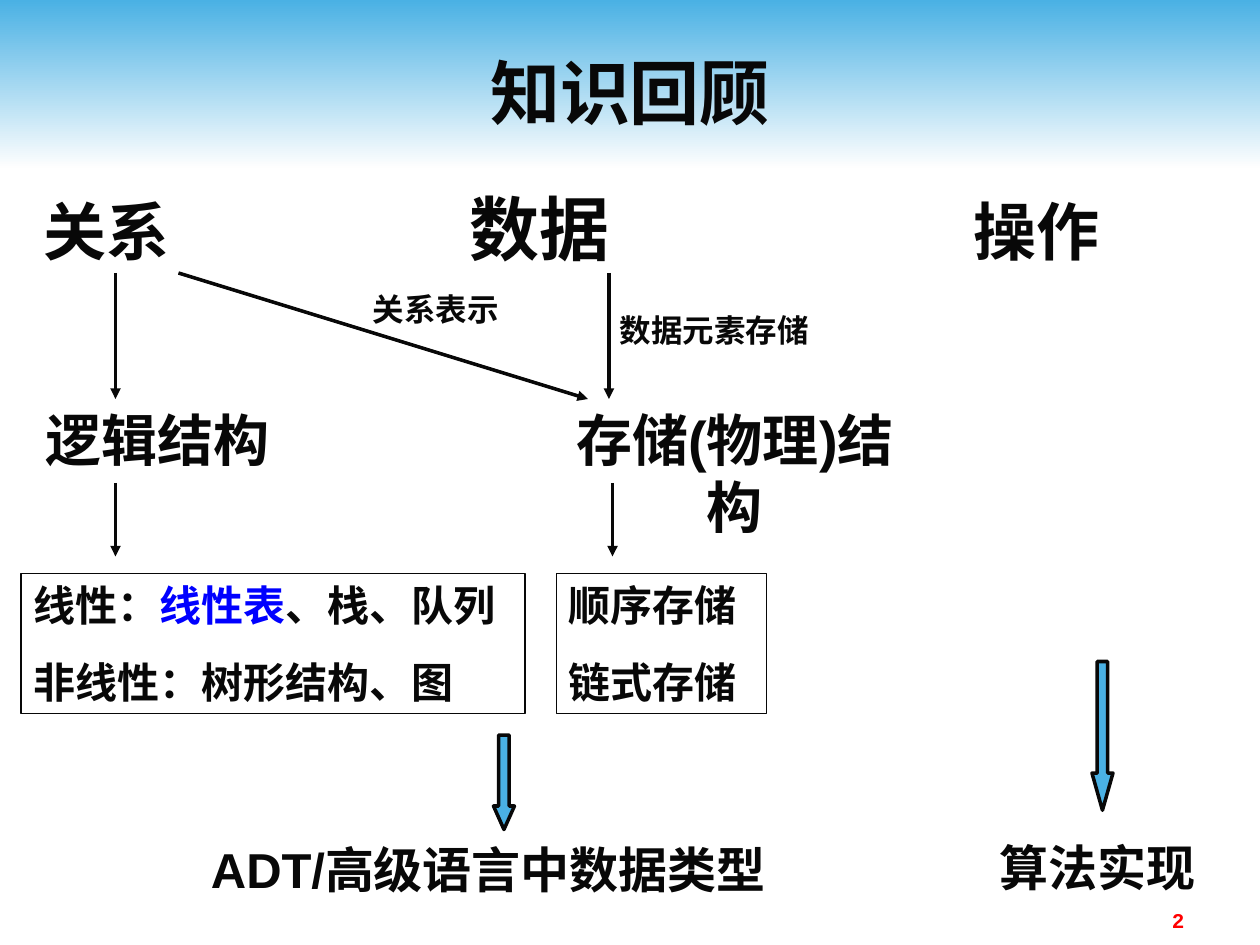
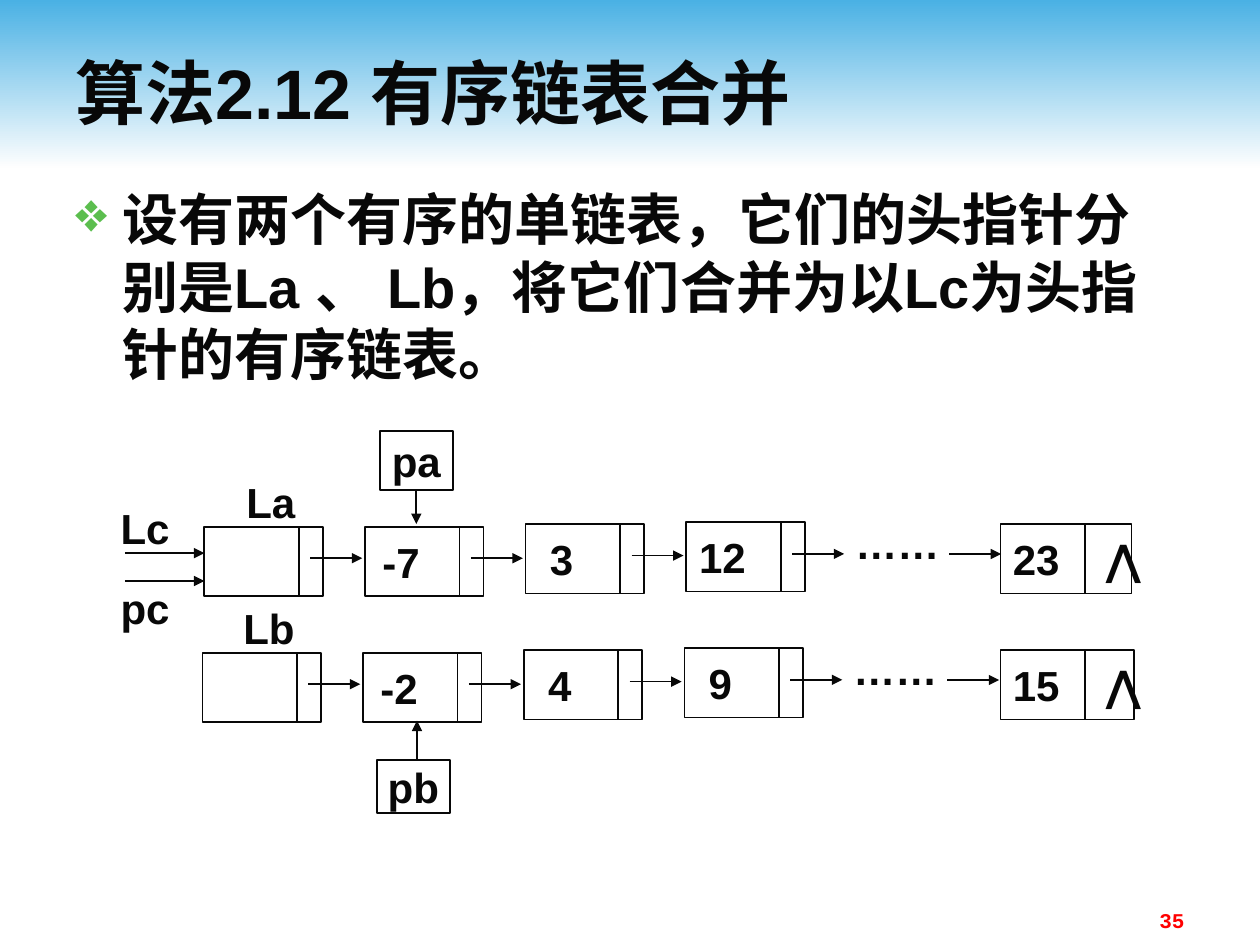
"""Build two lecture slides: a knowledge review and the merging of ordered linked lists."""
from dataclasses import dataclass

from lxml import etree
from pptx import Presentation
from pptx.dml.color import RGBColor
from pptx.enum.lang import MSO_LANGUAGE_ID as Language
from pptx.enum.shapes import MSO_CONNECTOR as Connector, MSO_SHAPE as Preset
from pptx.enum.text import MSO_ANCHOR as Anchor, MSO_AUTO_SIZE as AutoSize, PP_ALIGN as Align
from pptx.oxml.ns import qn
from pptx.util import Pt


@dataclass(frozen=True)
class Theme:
    """Colours, fonts and type sizes of the deck."""
    ink: str = "080808"
    sky: str = "4AB1E4"
    haze: str = "FEFEFE"
    leaf: str = "5BBE4E"
    accent: str = "0000FF"
    number: str = "FF0000"
    font: str = "Arial"
    number_font: str = "Courier New"
    title: float = 40
    heading: float = 36
    body: float = 32
    result: float = 28
    node: float = 24
    label: float = 18
    footer: float = 12
    leading: float = 1.2
    inset: float = 7.2


THEME = Theme()
NODE_WIDTH, NODE_HEIGHT, NODE_PITCH = 67.7, 39.6, 91.8
NODE_TOPS = (301, 301, 299.5, 298.5)
DIVIDER, LINK_START, LINK_LENGTH = 54, 60.5, 29.7
TAIL_LEFT, TAIL_DIVIDER = 571.7, 620


def color(code):
    """Turn a hex code into a colour."""
    return RGBColor.from_string(code)


def add_span(para, text, size, tint=THEME.ink, font=THEME.font):
    """Add one bold run to a paragraph."""
    span = para.add_run()
    span.text = text
    span.font.size, span.font.bold, span.font.name = Pt(size), True, font
    span.font.color.rgb = color(tint)
    span.font.language_id = Language.SIMPLIFIED_CHINESE
    latin = span._r.rPr.find(qn("a:latin"))
    east = etree.Element(qn("a:ea"), typeface=font)
    latin.addnext(east)


def write(shape, paras, align=Align.LEFT, anchor=Anchor.TOP, wrap=True, gap=0, right=THEME.inset):
    """Fill a shape with paragraphs, each a list of (text, size, ...) spans."""
    frame = shape.text_frame
    frame.auto_size, frame.word_wrap, frame.vertical_anchor = AutoSize.NONE, wrap, anchor
    frame.margin_left, frame.margin_right = Pt(THEME.inset), Pt(right)
    frame.margin_top = frame.margin_bottom = Pt(3.6)
    for index, spans in enumerate(paras):
        para = frame.add_paragraph() if index else frame.paragraphs[0]
        para.alignment = align
        para.line_spacing = Pt(max(span[1] for span in spans) * THEME.leading)
        para.space_before = Pt(gap if index else 0)
        for span in spans:
            add_span(para, *span)
    return shape


def add_text(page, bounds, paras, **style):
    """Add a text box."""
    return write(page.shapes.add_textbox(*map(Pt, bounds)), paras, **style)


def add_label(page, bounds, text, size):
    """Add a centred one-span text box."""
    return add_text(page, bounds, [[(text, size)]], align=Align.CENTER)


def add_block(page, preset, bounds, fill=None, line=1):
    """Add a preset shape with an ink outline and an optional fill."""
    box = page.shapes.add_shape(preset, *map(Pt, bounds))
    box.shadow.inherit = False
    if fill:
        box.fill.solid()
        box.fill.fore_color.rgb = color(fill)
    else:
        box.fill.background()
    box.line.color.rgb, box.line.width = color(THEME.ink), Pt(line)
    return box


def add_line(page, start, end, width=1, arrow=True):
    """Draw a straight line, with an arrowhead at its end if wanted."""
    line = page.shapes.add_connector(Connector.STRAIGHT, *map(Pt, (*start, *end)))
    line.line.color.rgb, line.line.width = color(THEME.ink), Pt(width)
    if arrow:
        etree.SubElement(line.line._get_or_add_ln(), qn("a:tailEnd"), type="triangle")
    etree.SubElement(line._element.spPr, qn("a:effectLst"))
    return line


def add_tabs(box, *stops):
    """Set left tab stops on the first paragraph of a box."""
    properties = box.text_frame.paragraphs[0]._p.get_or_add_pPr()
    tabs = etree.SubElement(properties, qn("a:tabLst"))
    for stop in stops:
        etree.SubElement(tabs, qn("a:tab"), pos=str(Pt(stop)), algn="l")


def add_bullet(box, symbol, indent):
    """Give the first paragraph of a box a hanging coloured bullet."""
    properties = box.text_frame.paragraphs[0]._p.get_or_add_pPr()
    properties.set("marL", str(Pt(indent)))
    properties.set("indent", str(-Pt(indent)))
    tint = etree.SubElement(properties, qn("a:buClr"))
    etree.SubElement(tint, qn("a:srgbClr"), val=THEME.leaf)
    etree.SubElement(properties, qn("a:buChar"), char=symbol)


def add_page(deck, title, number, align):
    """Add a slide with its band, title and page number."""
    page = deck.slides.add_slide(deck.slide_layouts[6])
    band = page.shapes.add_shape(Preset.RECTANGLE, 0, 0, deck.slide_width, Pt(96))
    band.shadow.inherit = False
    band.line.fill.background()
    band.fill.gradient()
    band.fill.gradient_angle = 270
    for stop, position, tint in zip(band.fill.gradient_stops, (0, 1), (THEME.sky, THEME.haze)):
        stop.position, stop.color.rgb = position, color(tint)
    add_text(page, (36, 18, 648, 68.4), [[(title, THEME.title)]], align=align, anchor=Anchor.MIDDLE)
    add_text(page, (516, 514.8, 168, 19.4),
             [[(number, THEME.footer, THEME.number, THEME.number_font)]], align=Align.RIGHT)
    return page


def add_review(deck):
    """Build the knowledge review slide."""
    page = add_page(deck, "知识回顾", "2", Align.CENTER)
    headings = add_text(page, (18, 102.2, 684, 60), [[
        ("关系\t", THEME.heading), ("数据", THEME.title), ("\t操作", THEME.heading)]])
    add_tabs(headings, 243, 531)

    add_label(page, (315, 228, 210, 84), "存储(物理)结构", THEME.body)
    add_label(page, (12, 228, 156, 46), "逻辑结构", THEME.body)
    add_label(page, (198, 162, 102, 29), "关系表示", THEME.label)
    add_label(page, (342, 174, 132, 29), "数据元素存储", THEME.label)
    add_label(page, (102, 476, 354, 41), "ADT/高级语言中数据类型", THEME.result)
    add_label(page, (558, 475, 138, 41), "算法实现", THEME.result)

    for start, end in (((66, 156), (66, 228)), ((102, 156), (336, 228)), ((348, 156), (348, 228)),
                       ((66, 276), (66, 318)), ((350, 276), (350, 318))):
        add_line(page, start, end, width=2)

    size = THEME.node
    for left, width, paras in (
            (12, 288, [[("线性：", size), ("线性表", size, THEME.accent), ("、栈、队列", size)],
                       [("非线性：树形结构、图", size)]]),
            (318, 120, [[("顺序存储", size)], [("链式存储", size)]])):
        write(add_block(page, Preset.RECTANGLE, (left, 327.8, width, 80)), paras, gap=15)

    for left, top, height, head in ((282, 420, 54, 1.12), (624, 378, 85, 1.77)):
        arrow = add_block(page, Preset.DOWN_ARROW, (left, top, 12, height), THEME.sky, line=2)
        arrow.adjustments[0], arrow.adjustments[1] = 0.5, head


def add_mark(page, bounds, text, boxed=False, right=THEME.inset):
    """Add centred diagram text, in a box if wanted."""
    shape = (add_block(page, Preset.RECTANGLE, bounds) if boxed
             else page.shapes.add_textbox(*map(Pt, bounds)))
    return write(shape, [[(text, THEME.node)]] if text else [], align=Align.CENTER,
                 anchor=Anchor.MIDDLE, wrap=False, right=right)


def add_node(page, left, top, value):
    """Add a list node with its divider and the link to the next node."""
    add_mark(page, (left, top, NODE_WIDTH, NODE_HEIGHT), value, boxed=True, right=33.6)
    add_line(page, (left + DIVIDER, top), (left + DIVIDER, top + NODE_HEIGHT), arrow=False)
    start = left + LINK_START
    add_line(page, (start, top + 18), (start + LINK_LENGTH, top + 18))


def add_list(page, name, values, left, drop, tail_value, tail_width):
    """Add a linked list: name, head node, values, dots and the tail node."""
    add_mark(page, (left + 5, 268.6 + drop, 66, 36), name)
    for index, (value, top) in enumerate(zip(("", *values), NODE_TOPS)):
        add_node(page, left + index * NODE_PITCH, top + drop, value)
    add_mark(page, (left + 368.6, 290 + drop, NODE_WIDTH, NODE_HEIGHT), "……", right=20)
    link = left + 425.6
    add_line(page, (link, 316.6 + drop), (link + LINK_LENGTH, 316.6 + drop))

    top = 299.5 + drop
    tail = add_block(page, Preset.RECTANGLE, (TAIL_LEFT, top, tail_width, NODE_HEIGHT))
    write(tail, [[(f"{tail_value}\t⋀", THEME.node)]], anchor=Anchor.MIDDLE, wrap=False)
    add_tabs(tail, 53)
    add_line(page, (TAIL_DIVIDER, top), (TAIL_DIVIDER, top + NODE_HEIGHT), arrow=False)


def add_merge(deck):
    """Build the ordered list merging slide."""
    page = add_page(deck, "算法2.12 有序链表合并", "35", Align.LEFT)
    task = add_text(page, (36, 102.2, 648, 130), [[
        ("设有两个有序的单链表，它们的头指针分别是La 、 Lb，将它们合并为以Lc为头指针的有序链表。",
         THEME.body)]])
    add_bullet(task, "❖", 27)

    add_list(page, "La", ("-7", "3", "12"), 116.8, 0, "23", 75)
    add_list(page, "Lb", ("-2", "4", "9"), 115.7, 72, "15", 76.3)

    for name, top, arrow_top in (("Lc", 286.6, 316.1), ("pc", 332, 332)):
        add_mark(page, (62, top, 41.8, 30.2), name)
        add_line(page, (71.3, arrow_top), (116.8, arrow_top))

    first = add_mark(page, (217, 246.2, 41.8, 33.8), "pa", boxed=True)
    add_line(page, (237.9, 280), (237.9, 299.5)).begin_connect(first, 2)
    add_mark(page, (215.3, 434.2, 41.8, 30.2), "pb", boxed=True)
    add_line(page, (238.3, 434.2), (238.3, 411.8))


def main():
    """Create and save the deck."""
    deck = Presentation()
    deck.slide_width, deck.slide_height = Pt(720), Pt(540)
    add_review(deck)
    add_merge(deck)
    deck.save("out.pptx")


if __name__ == "__main__":
    main()
